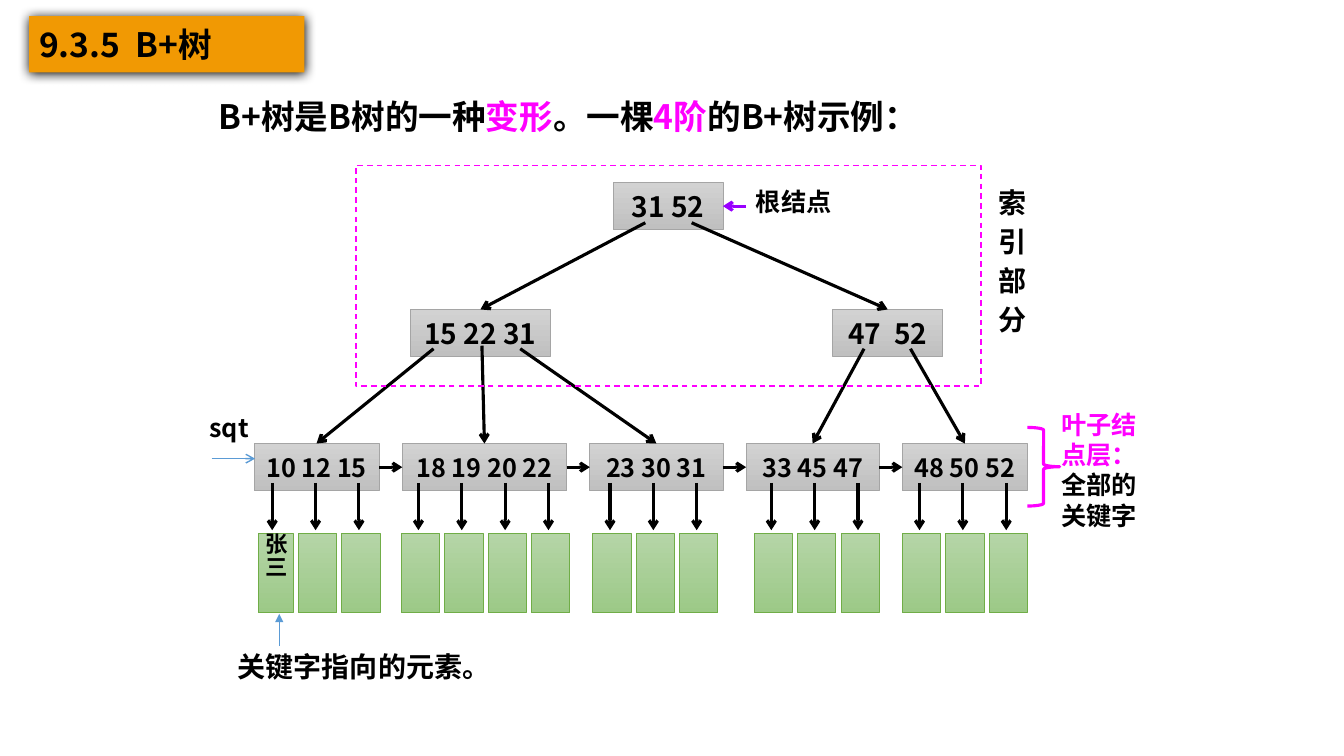
"""Build a slide that shows a B+ tree of order four."""
from lxml.etree import SubElement
from pptx import Presentation
from pptx.dml.color import RGBColor
from pptx.enum.dml import MSO_LINE
from pptx.enum.shapes import MSO_CONNECTOR, MSO_SHAPE
from pptx.enum.text import MSO_ANCHOR, PP_ALIGN
from pptx.oxml.ns import qn
from pptx.util import Inches, Pt

FONT = "Noto Sans CJK SC"
BLACK, MAGENTA, BLUE = "000000", "FF00FF", "5B9BD5"


def write(box, paragraphs, size, align=PP_ALIGN.LEFT, anchor=MSO_ANCHOR.TOP, inset=(0.1, 0.05)):
    """Fill a box with paragraphs, each a list of (text, colour) spans."""
    frame = box.text_frame
    frame.word_wrap = True
    frame.vertical_anchor = anchor
    frame.margin_left = frame.margin_right = Inches(inset[0])
    frame.margin_top = frame.margin_bottom = Inches(inset[1])
    for index, spans in enumerate(paragraphs):
        para = frame.paragraphs[0] if index == 0 else frame.add_paragraph()
        para.alignment = align
        for text, colour in spans:
            span = para.add_run()
            span.text = text
            span.font.name = FONT
            span.font.size = Pt(size)
            span.font.bold = True
            span.font.color.rgb = RGBColor.from_string(colour)
            SubElement(span.font._element, qn("a:ea"), typeface=FONT)
    return frame


def arrow(start, end, colour=BLACK, width=2.25, head="arrow"):
    """Draw an arrow between two (x, y) points in inches."""
    line = page.shapes.add_connector(MSO_CONNECTOR.STRAIGHT, *map(Inches, start + end))
    line.line.color.rgb = RGBColor.from_string(colour)
    line.line.width = Pt(width)
    SubElement(line.line._get_or_add_ln(), qn("a:tailEnd"), type=head)
    SubElement(line._element.spPr, qn("a:effectLst"))
    return line


deck = Presentation()
deck.slide_width, deck.slide_height = Inches(13.33), Inches(7.5)
page = deck.slides.add_slide(deck.slide_layouts[6])

intro = page.shapes.add_textbox(Inches(2.07), Inches(0.86), Inches(7.41), Inches(0.54))
intro_frame = write(intro, [[
    ("B+树是B树的一种", BLACK), ("变形", MAGENTA), ("。一棵", BLACK),
    ("4阶", MAGENTA), ("的B+树示例：", BLACK),
]], 24, PP_ALIGN.JUSTIFY)
intro_frame.paragraphs[0].line_spacing = 1.1

title = page.shapes.add_shape(
    MSO_SHAPE.RECTANGLE, Inches(0.29), Inches(0.16), Inches(2.73), Inches(0.56))
title.fill.solid()
title.fill.fore_color.rgb = RGBColor.from_string("F19903")
title.line.fill.background()
title.shadow.inherit = False
shadow = SubElement(
    title._element.spPr.find(qn("a:effectLst")), qn("a:outerShdw"),
    blurRad=str(Pt(8.5)), dist=str(Pt(1)), dir="5400000", algn="t", rotWithShape="0")
SubElement(shadow, qn("a:srgbClr"), val=BLACK)
write(title, [[("9.3.5  B+树", BLACK)]], 24, anchor=MSO_ANCHOR.MIDDLE, inset=(0.1, 0.08))

NODE_HEIGHT, LEAF_TOP, RECORD_TOP = 0.47, 4.4, 5.29
leaves = [
    ("10 12 15", 2.52, 1.24, 2.53),
    ("18 19 20 22", 3.99, 1.63, 3.98),
    ("23 30 31", 5.85, 1.32, 5.88),
    ("33 45 47", 7.4, 1.32, 7.48),
    ("48 50 52", 8.95, 1.24, 8.95),
]
gray, green = ("D2D2D2", "C0C0C0", "A5A5A5"), ("B5D5A7", "9CC987", "70AD47")
blocks = [
    ("31 52", 6.08, 1.81, 1.09, NODE_HEIGHT, 20, gray),
    ("15 22 31", 4.07, 3.07, 1.39, NODE_HEIGHT, 20, gray),
    ("47  52", 8.26, 3.07, 1.09, NODE_HEIGHT, 20, gray),
]
for keys, left, width, _ in leaves:
    blocks.append((keys, left, LEAF_TOP, width, NODE_HEIGHT, 18, gray))
record_lefts = [
    first + 0.43 * index
    for keys, _, _, first in leaves for index in range(len(keys.split()))
]
blocks.append(("张三", 2.56, RECORD_TOP, 0.35, 0.79, 16, green))
for left in record_lefts[1:]:
    blocks.append(("", left, RECORD_TOP, 0.38, 0.79, 16, green))

nodes = {}
for text, left, top, width, height, size, (light, dark, edge) in blocks:
    block = page.shapes.add_shape(
        MSO_SHAPE.RECTANGLE, Inches(left), Inches(top), Inches(width), Inches(height))
    block.shadow.inherit = False
    block.fill.gradient()
    block.fill.gradient_angle = 270
    for stop, colour in zip(block.fill.gradient_stops, (light, dark)):
        stop.color.rgb = RGBColor.from_string(colour)
    block.line.color.rgb = RGBColor.from_string(edge)
    block.line.width = Pt(0.5)
    if text == "张三":
        frame = write(block, [[(text, BLACK)]], size, inset=(0.04, 0))
        frame._txBody.bodyPr.set("vert", "eaVert")
    elif text:
        write(block, [[(text, BLACK)]], size, PP_ALIGN.CENTER, MSO_ANCHOR.MIDDLE, (0, 0.05))
        nodes[text] = block

leaf_boxes = [nodes[keys] for keys, _, _, _ in leaves]
for before, after in zip(leaf_boxes, leaf_boxes[1:]):
    link = arrow((0, 0), (0, 0))
    link.begin_connect(before, 3)
    link.end_connect(after, 1)

for start, child in [
    ((6.4, 2.21), "15 22 31"), ((6.86, 2.21), "47  52"),
    ((4.3, 3.46), "10 12 15"), ((4.78, 3.43), "18 19 20 22"), ((5.16, 3.46), "23 30 31"),
    ((8.57, 3.46), "33 45 47"), ((9.03, 3.46), "48 50 52"),
]:
    arrow(start, start).end_connect(nodes[child], 0)

for left in record_lefts:
    arrow((left + 0.17, 4.79), (left + 0.17, 5.26))

root_middle = 1.81 + NODE_HEIGHT / 2
arrow((7.4, root_middle), (7.17, root_middle), "9900FF").end_connect(nodes["31 52"], 3)
arrow((2.1, 4.55), (2.53, 4.55), BLUE, 1)
arrow((2.77, 6.41), (2.77, 6.09), BLUE, 1, "triangle")

for kind, left, top, width, height, weight, dash in [
    (MSO_SHAPE.RECTANGLE, 3.53, 1.64, 6.2, 2.19, 1, MSO_LINE.DASH),
    (MSO_SHAPE.RIGHT_BRACE, 10.19, 4.24, 0.32, 0.78, 2.25, None),
]:
    outline = page.shapes.add_shape(
        kind, Inches(left), Inches(top), Inches(width), Inches(height))
    outline.shadow.inherit = False
    outline.fill.background()
    outline.line.color.rgb = RGBColor.from_string(MAGENTA)
    outline.line.width = Pt(weight)
    outline.line.dash_style = dash

for left, top, width, height, size, paragraphs in [
    (2.26, 6.39, 2.89, 0.44, 20, [[("关键字指向的元素。", BLACK)]]),
    (7.4, 1.8, 1.16, 0.4, 18, [[("根结点", BLACK)]]),
    (1.98, 4.04, 0.63, 0.4, 18, [[("sqt", BLACK)]]),
    (10.43, 4.01, 1.07, 1.31, 18, [[("叶子结点层：", MAGENTA), ("全部的关键字", BLACK)]]),
    (9.81, 1.87, 0.4, 1.61, 20, [[(letter, BLACK)] for letter in "索引部分"]),
]:
    label = page.shapes.add_textbox(Inches(left), Inches(top), Inches(width), Inches(height))
    frame = write(label, paragraphs, size)
    if len(paragraphs) > 1:
        for para in frame.paragraphs:
            para.line_spacing = Pt(18)
        for para in frame.paragraphs[1:]:
            para.space_before = Pt(10)

deck.save("out.pptx")
